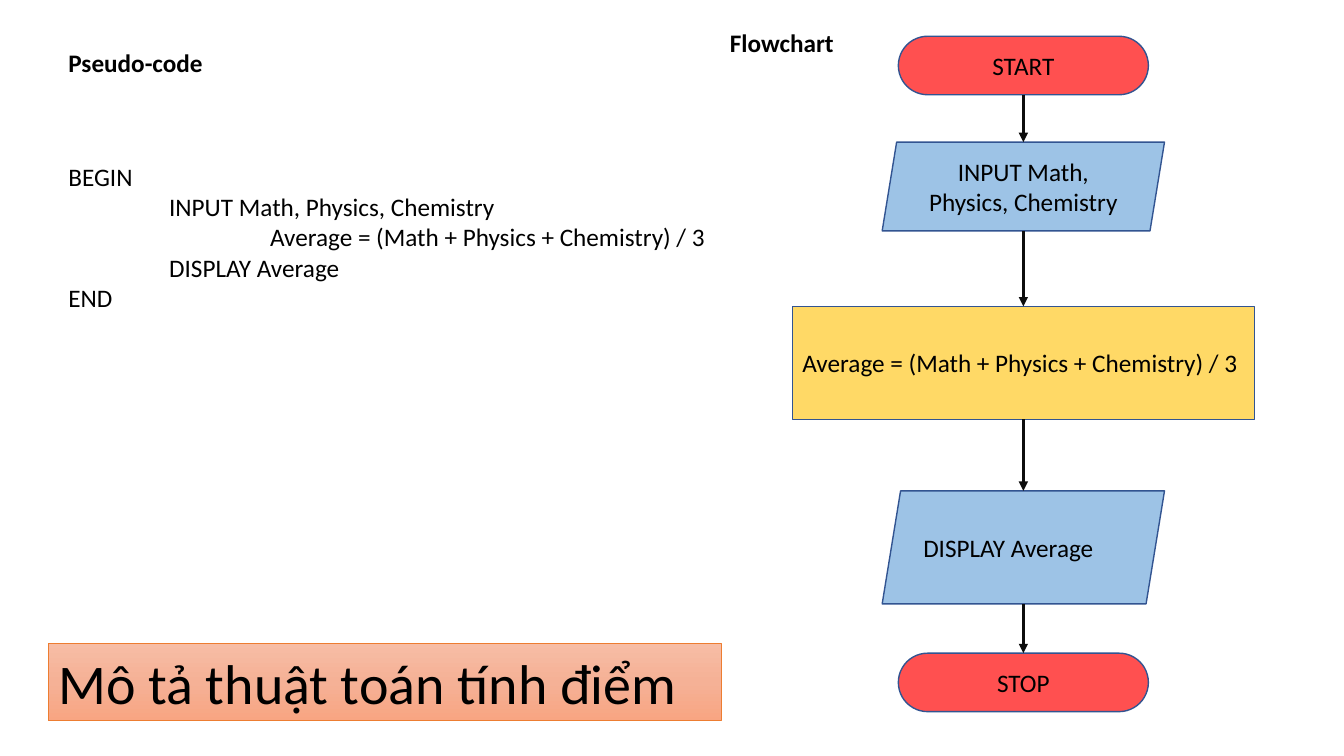
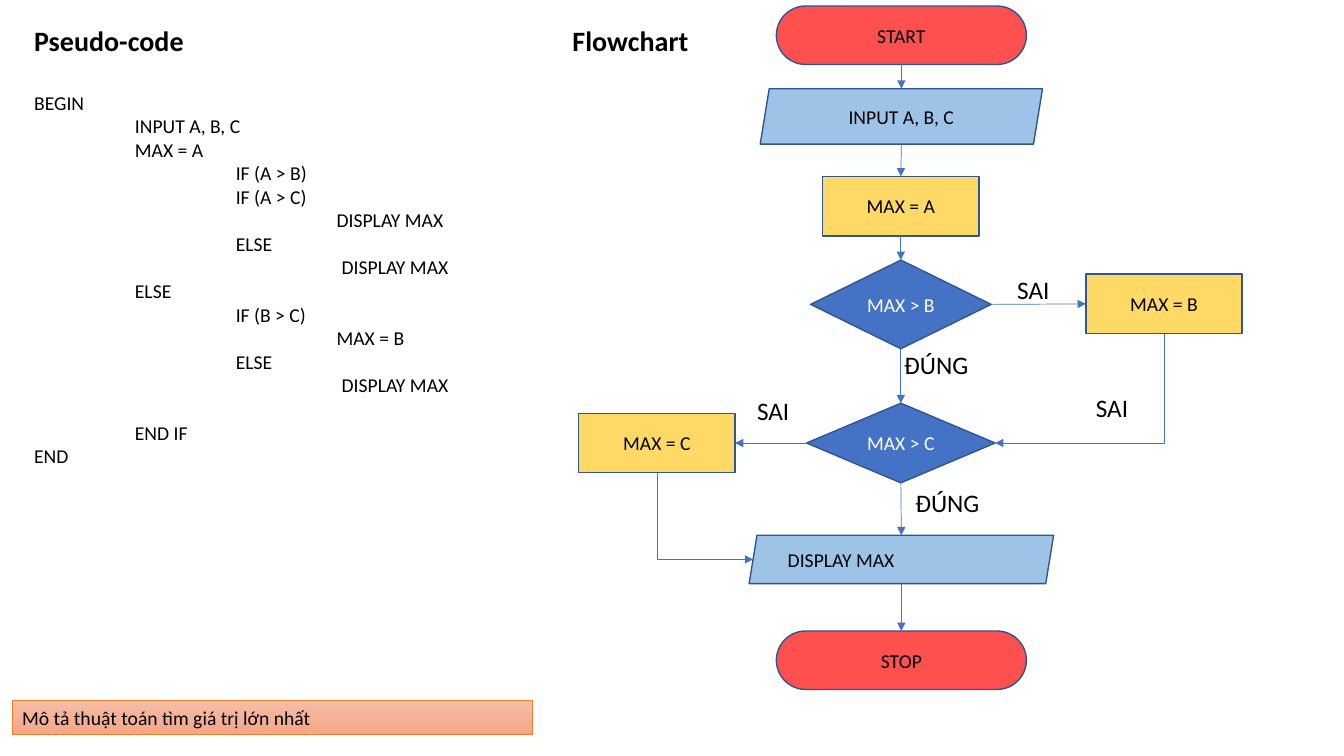
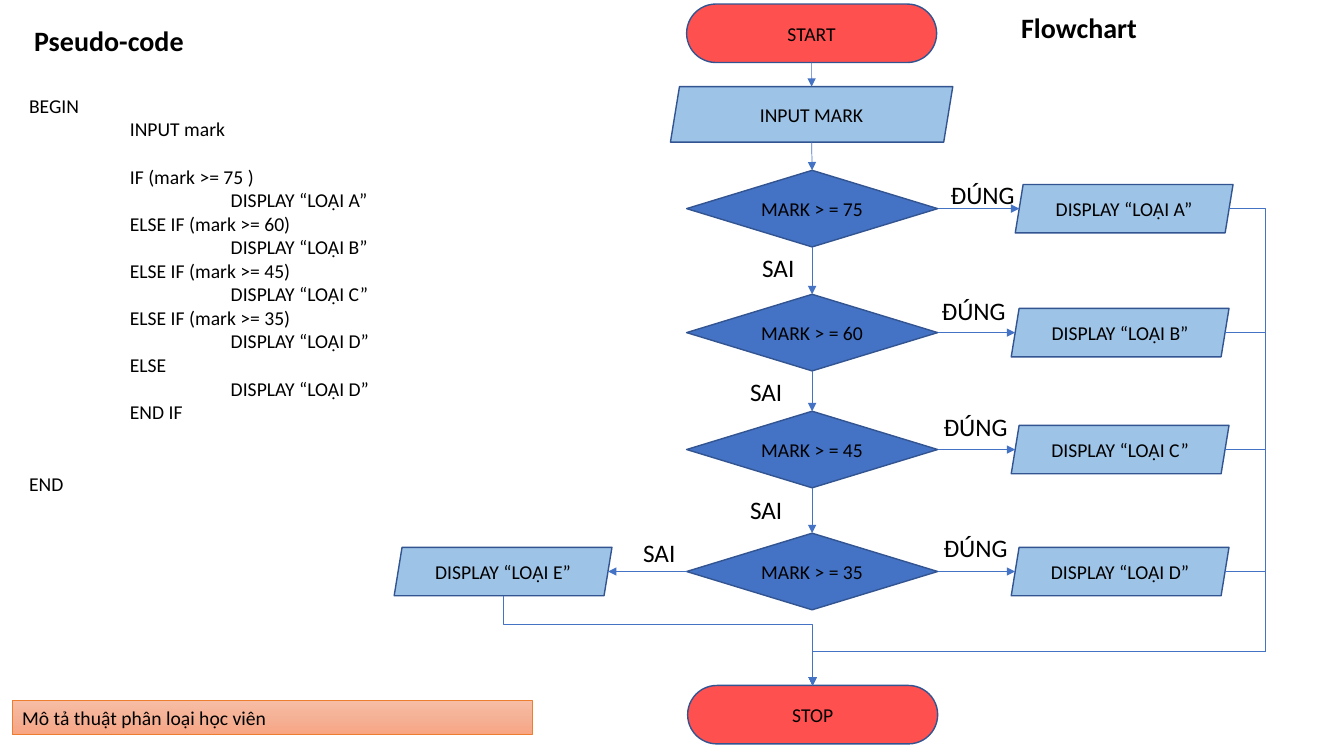
from copy import deepcopy

from lxml import etree
from pptx import Presentation
from pptx.dml.color import RGBColor
from pptx.enum.shapes import MSO_CONNECTOR, MSO_SHAPE
from pptx.enum.text import MSO_ANCHOR, MSO_AUTO_SIZE, PP_ALIGN
from pptx.oxml.ns import qn
from pptx.util import Inches, Pt

# Shared look
BLACK = RGBColor(0x00, 0x00, 0x00)
WHITE = RGBColor(0xFF, 0xFF, 0xFF)
INK = RGBColor(0x0D, 0x0D, 0x0D)
RED = RGBColor(0xFF, 0x50, 0x50)
YELLOW = RGBColor(0xFF, 0xD9, 0x66)
SKY = RGBColor(0x9D, 0xC3, 0xE6)
BLUE = RGBColor(0x44, 0x72, 0xC4)
OUTLINE = RGBColor(0x32, 0x54, 0x91)
ORANGE = RGBColor(0xED, 0x7D, 0x31)
BANNER = [RGBColor(0xF7, 0xBD, 0xA5), RGBColor(0xF5, 0xB1, 0x96), RGBColor(0xF8, 0xA5, 0x82)]
FONT = "Calibri"
LEFT, CENTER = PP_ALIGN.LEFT, PP_ALIGN.CENTER
TOP, MIDDLE = MSO_ANCHOR.TOP, MSO_ANCHOR.MIDDLE
FIT, FIXED = MSO_AUTO_SIZE.SHAPE_TO_FIT_TEXT, MSO_AUTO_SIZE.NONE
STRAIGHT, ELBOW = MSO_CONNECTOR.STRAIGHT, MSO_CONNECTOR.ELBOW
LINE_HEIGHT = 1.22  # line pitch as a multiple of the font size
SLANT = 0.163

# kind: preset, fill, adjustment
KINDS = {
    "terminal": (MSO_SHAPE.ROUNDED_RECTANGLE, RED, 0.5),
    "data": (MSO_SHAPE.PARALLELOGRAM, SKY, SLANT),
    "process": (MSO_SHAPE.RECTANGLE, YELLOW, None),
    "decision": (MSO_SHAPE.DIAMOND, BLUE, None),
}

# Content. Code: (indent in inches, text, blank lines above).
# Nodes: name: (kind, text, box, format changes). Links: (from, side, to, side, bends).
AVERAGE = {
    "title": ("Mô tả thuật toán tính điểm", (0.48, 6.38, 6.67, 0.77), 40),
    "headings": [("Pseudo-code", (0.58, 0.42, 1.54, 0.4)), ("Flowchart", (7.14, 0.22, 1.24, 0.4))],
    "heading_size": 18,
    "size": 18,
    "arrow": (INK, 2.25),
    "code_box": (0.58, 1.55, 6.57, 1.92),
    "code": [
        (0, "BEGIN", 0),
        (1, "INPUT Math, Physics, Chemistry", 0),
        (2, "Average = (Math + Physics + Chemistry) / 3", 0),
        (1, "DISPLAY Average", 0),
        (0, "END", 0),
    ],
    "nodes": {
        "start": ("terminal", "START", (8.91, 0.36, 2.48, 0.58), {}),
        "input": ("data", "INPUT Math, Physics, Chemistry", (8.75, 1.41, 2.8, 0.88), {}),
        "average": ("process", "Average = (Math + Physics + Chemistry) / 3",
                    (7.86, 3.04, 4.58, 1.12), {"alignment": LEFT}),
        "display": ("data", "DISPLAY Average", (8.75, 4.87, 2.8, 1.12), {"alignment": LEFT}),
        "stop": ("terminal", "STOP", (8.91, 6.48, 2.48, 0.58), {}),
    },
    "flow": ["start", "input", "average", "display", "stop"],
    "links": [],
    "labels": [],
}

MAXIMUM = {
    "title": ("Mô tả thuật toán tìm giá trị lớn nhất", (0.12, 6.95, 5.16, 0.34), 14),
    "headings": [("Pseudo-code", (0.24, 0.18, 1.7, 0.44)), ("Flowchart", (5.58, 0.18, 1.36, 0.44))],
    "heading_size": 20,
    "size": 14,
    "arrow": (BLUE, 0.5),
    "code_box": (0.24, 0.85, 5.4, 4.11),
    "code": [
        (0, "BEGIN", 0),
        (1, "INPUT A, B, C", 0),
        (1, "MAX = A", 0),
        (2, "IF (A > B)", 0),
        (2, "IF (A > C)", 0),
        (3, "DISPLAY MAX", 0),
        (2, "ELSE", 0),
        (3.05, "DISPLAY MAX", 0),
        (1, "ELSE", 0),
        (2, "IF (B > C)", 0),
        (3, "MAX = B", 0),
        (2, "ELSE", 0),
        (3.05, "DISPLAY MAX", 0),
        (1, "END IF", 1),
        (0, "END", 0),
    ],
    "nodes": {
        "start": ("terminal", "START", (7.7, 0.06, 2.48, 0.58), {}),
        "input": ("data", "INPUT A, B, C", (7.54, 0.88, 2.8, 0.55), {}),
        "set A": ("process", "MAX = A", (8.16, 1.75, 1.55, 0.59), {}),
        "test B": ("decision", "MAX > B", (8.04, 2.58, 1.79, 0.88), {"color": WHITE}),
        "test C": ("decision", "MAX > C", (8, 4, 1.87, 0.79), {"color": WHITE}),
        "set B": ("process", "MAX = B", (10.77, 2.72, 1.55, 0.59), {}),
        "set C": ("process", "MAX = C", (5.74, 4.1, 1.55, 0.59), {}),
        "display": ("data", "DISPLAY MAX", (7.43, 5.31, 3.02, 0.48), {"alignment": LEFT}),
        "stop": ("terminal", "STOP", (7.7, 6.26, 2.48, 0.58), {}),
    },
    "flow": ["start", "input", "set A", "test B", "test C", "display", "stop"],
    "links": [
        ("test B", "right", "set B", "left", ()),
        ("set B", "bottom", "test C", "right", ()),
        ("test C", "left", "set C", "right", ()),
        ("set C", "bottom", "display", "left", ()),
    ],
    "labels": [("ĐÚNG", 8.87, 3.42), ("SAI", 9.99, 2.67), ("ĐÚNG", 8.98, 4.79),
               ("SAI", 7.41, 3.87), ("SAI", 10.77, 3.84)],
}

# Grade: (letter, lowest mark, middle of row, left of output)
GRADES = [("A", 75, 2.07, 10.07), ("B", 60, 3.3, 10.03), ("C", 45, 4.46, 10.03), ("D", 35, 5.67, 10.03)]
RETURN_X, RETURN_Y, FAIL_Y = 12.55, 6.46, 6.19

GRADING = {
    "title": ("Mô tả thuật phân loại học viên", (0.12, 6.95, 5.16, 0.34), 14),
    "headings": [("Pseudo-code", (0.24, 0.18, 1.7, 0.44)), ("Flowchart", (10.03, 0.06, 1.36, 0.44))],
    "heading_size": 20,
    "size": 14,
    "arrow": (BLUE, 0.5),
    "code_box": (0.19, 0.88, 5.4, 4.11),
    "code": [
        (0, "BEGIN", 0),
        (1, "INPUT mark", 0),
        (1, "IF (mark >= 75 )", 1),
        (2, "DISPLAY “LOẠI A”", 0),
        (1, "ELSE IF (mark >= 60)", 0),
        (2, "DISPLAY “LOẠI B”", 0),
        (1, "ELSE IF (mark >= 45)", 0),
        (2, "DISPLAY “LOẠI C”", 0),
        (1, "ELSE IF (mark >= 35)", 0),
        (2, "DISPLAY “LOẠI D”", 0),
        (1, "ELSE", 0),
        (2, "DISPLAY “LOẠI D”", 0),
        (1, "END IF", 0),
        (0, "END", 2),
    ],
    "nodes": {
        "start": ("terminal", "START", (6.81, 0.04, 2.48, 0.58), {}),
        "input": ("data", "INPUT MARK", (6.65, 0.86, 2.8, 0.55), {}),
        "grade E": ("data", "DISPLAY “LOẠI E”", (3.91, 5.43, 2.16, 0.48), {}),
        "stop": ("terminal", "STOP", (6.82, 6.8, 2.48, 0.58), {}),
    },
    "flow": ["start", "input"] + [f"test {letter}" for letter, *_ in GRADES],
    "links": [
        ("test D", "left", "grade E", "right", ()),
        ("grade E", "bottom", "stop", "top", (FAIL_Y,)),
    ],
    "labels": [("SAI", 7.46, 2.45), ("SAI", 7.34, 3.68), ("SAI", 7.34, 4.86), ("SAI", 6.28, 5.28),
               ("ĐÚNG", 9.33, 1.73), ("ĐÚNG", 9.24, 2.88), ("ĐÚNG", 9.26, 4.03), ("ĐÚNG", 9.26, 5.23)],
}
for letter, mark, middle, left in GRADES:
    test, grade = f"test {letter}", f"grade {letter}"
    GRADING["nodes"][test] = ("decision", f"MARK > = {mark}", (6.81, middle - 0.38, 2.49, 0.76), {})
    GRADING["nodes"][grade] = ("data", f"DISPLAY “LOẠI {letter}”", (left, middle - 0.24, 2.16, 0.48), {})
    GRADING["links"] += [(test, "right", grade, "left", ()),
                         (grade, "right", "stop", "top", (RETURN_X, RETURN_Y))]


def set_all(target, values):
    for name, value in values.items():
        setattr(target, name, value)


def write(shape, lines, size, color=BLACK, bold=False, alignment=LEFT, anchor=TOP, wrap=True, fit=FIXED):
    """Fill a shape with (indent, text, blank lines above) paragraphs."""
    frame = shape.text_frame
    set_all(frame, {"word_wrap": wrap, "auto_size": fit, "vertical_anchor": anchor})
    for index, (indent, text, blanks) in enumerate(lines):
        paragraph = frame.paragraphs[0] if index == 0 else frame.add_paragraph()
        set_all(paragraph, {"alignment": alignment, "line_spacing": 1.0,
                            "space_before": Pt(round(blanks * size * LINE_HEIGHT, 1))})
        if indent:
            paragraph._p.get_or_add_pPr().set("marL", str(Inches(indent)))
        run = paragraph.add_run()
        run.text = text
        set_all(run.font, {"name": FONT, "size": Pt(size), "bold": bold})
        run.font.color.rgb = color


def add_text(slide, box, lines, size, **style):
    shape = slide.shapes.add_textbox(*map(Inches, box))
    write(shape, lines, size, fit=FIT, **style)


def outline(shape, color, width):
    shape.line.color.rgb = color
    shape.line.width = Pt(width)


def add_banner(slide, text, box, size):
    """Turn the title placeholder into the gradient banner."""
    title = slide.shapes.title
    set_all(title, dict(zip(("left", "top", "width", "height"), map(Inches, box))))
    title.fill.gradient()
    title.fill.gradient_angle = 270
    stops = title.element.spPr.find(".//" + qn("a:gsLst"))
    stops.insert(1, deepcopy(stops[0]))
    stops[1].set("pos", "50000")
    for stop, color in zip(title.fill.gradient_stops, BANNER):
        stop.color.rgb = color
    outline(title, ORANGE, 0.5)
    write(title, [(0, text, 0)], size)


def add_node(slide, kind, text, box, size, changes):
    preset, color, adjustment = KINDS[kind]
    shape = slide.shapes.add_shape(preset, *map(Inches, box))
    shape.shadow.inherit = False
    shape.fill.solid()
    shape.fill.fore_color.rgb = color
    if adjustment is not None:
        shape.adjustments[0] = adjustment
    outline(shape, OUTLINE, 1)
    write(shape, [(0, text, 0)], size, **{"alignment": CENTER, "anchor": MIDDLE, **changes})


def side_point(node, side):
    """Middle of one side; slanted sides lie inside the box."""
    kind, _, (left, top, width, height), _ = node
    inset = SLANT * min(width, height) / 2 if kind == "data" else 0
    return {
        "top": (left + width / 2, top),
        "bottom": (left + width / 2, top + height),
        "left": (left + inset, top + height / 2),
        "right": (left + width - inset, top + height / 2),
    }[side]


def add_arrow(slide, start, end, arrow, elbow=False):
    connector = slide.shapes.add_connector(ELBOW if elbow else STRAIGHT, *map(Inches, start + end))
    outline(connector, *arrow)
    properties = connector.element.spPr
    etree.SubElement(properties.find(qn("a:ln")), qn("a:tailEnd"), type="triangle")
    etree.SubElement(properties, qn("a:effectLst"))
    return connector


def add_elbow(slide, start, end, arrow, from_bottom, bends):
    """Bent arrow; bends alternate between the axis of departure and the other."""
    connector = add_arrow(slide, start, end, arrow, elbow=True)
    properties = connector.element.spPr
    geometry = properties.find(qn("a:prstGeom"))
    geometry.set("prst", f"bentConnector{len(bends) + 2}")
    guides = geometry.find(qn("a:avLst"))
    axis = 1 if from_bottom else 0
    for number, bend in enumerate(bends, 1):
        share = (bend - start[axis]) / (end[axis] - start[axis])
        etree.SubElement(guides, qn("a:gd"), name=f"adj{number}", fmla=f"val {round(share * 100000)}")
        axis = 1 - axis
    if from_bottom:
        # The frame is turned about its middle, so width and height change places
        across, down = abs(end[0] - start[0]), abs(end[1] - start[1])
        middle_x, middle_y = (start[0] + end[0]) / 2, (start[1] + end[1]) / 2
        set_all(connector, {"left": Inches(middle_x - down / 2), "top": Inches(middle_y - across / 2),
                            "width": Inches(down), "height": Inches(across)})
        rightward = end[0] > start[0]
        frame = properties.find(qn("a:xfrm"))
        frame.set("rot", str((270 if rightward else 90) * 60000))
        frame.set("flipH", "1" if rightward else "0")


def build_slide(presentation, content):
    slide = presentation.slides.add_slide(presentation.slide_layouts[5])
    nodes, arrow, size = content["nodes"], content["arrow"], content["size"]
    add_banner(slide, *content["title"])
    for text, box in content["headings"]:
        add_text(slide, box, [(0, text, 0)], content["heading_size"], bold=True, wrap=False)
    add_text(slide, content["code_box"], content["code"], size)
    for kind, text, box, changes in nodes.values():
        add_node(slide, kind, text, box, size, changes)

    # Arrows down the main column, then the branches
    flow = content["flow"]
    down = [(upper, "bottom", lower, "top", ()) for upper, lower in zip(flow, flow[1:])]
    for source, out_side, target, in_side, bends in down + content["links"]:
        start, end = side_point(nodes[source], out_side), side_point(nodes[target], in_side)
        from_bottom = out_side == "bottom"
        if bends or from_bottom and in_side != "top":
            add_elbow(slide, start, end, arrow, from_bottom, bends)
        else:
            add_arrow(slide, start, end, arrow)

    for text, left, top in content["labels"]:
        width = 0.52 if text == "SAI" else 0.84
        add_text(slide, (left, top, width, 0.4), [(0, text, 0)], 18, wrap=False)


presentation = Presentation()
presentation.slide_width, presentation.slide_height = Inches(13.33), Inches(7.5)
for content in (AVERAGE, MAXIMUM, GRADING):
    build_slide(presentation, content)
presentation.save("out.pptx")
